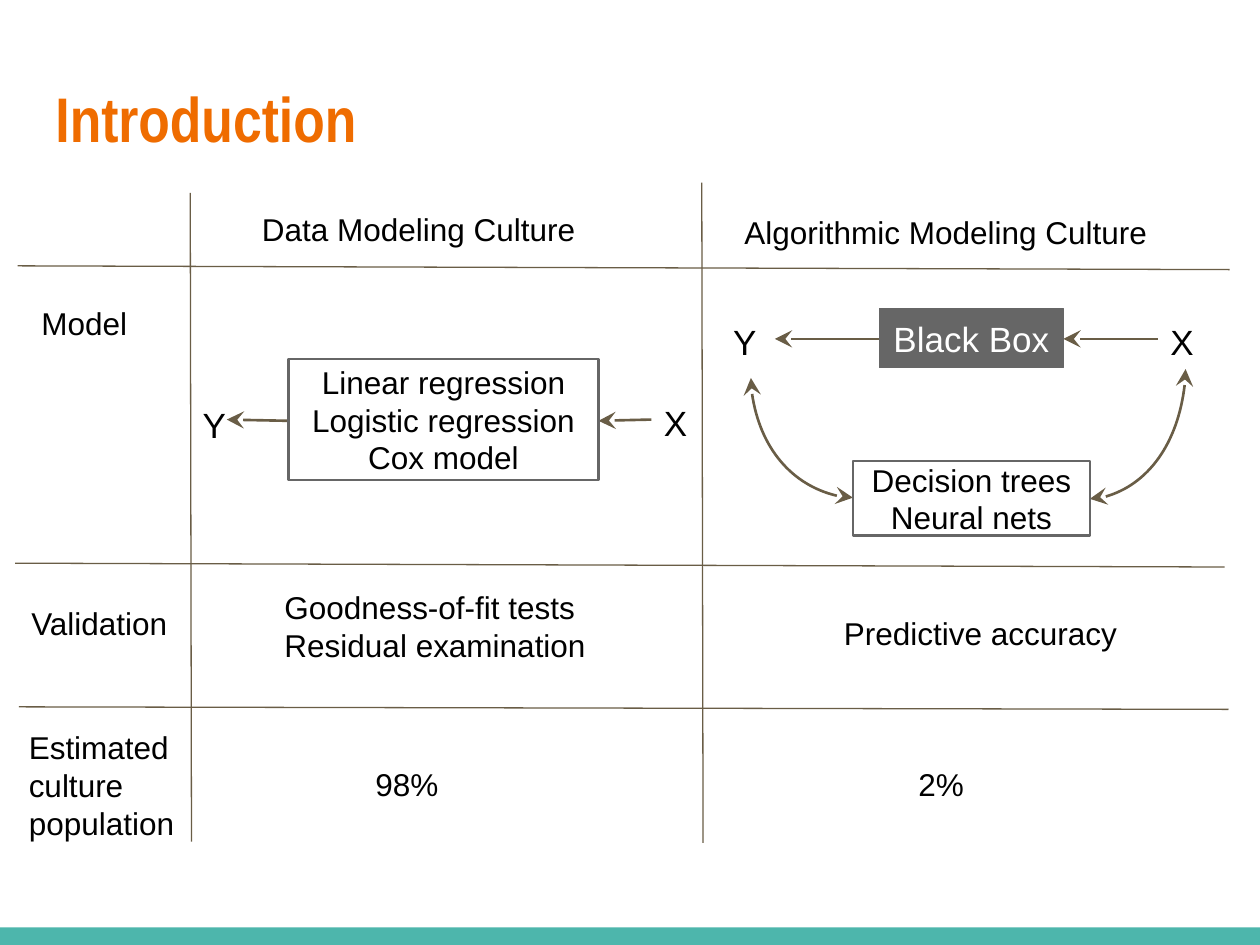
import pptx
import pptx.util
import pptx.dml.color
import pptx.enum.shapes
import pptx.enum.text
import pptx.oxml
import pptx.oxml.ns

Inches, Pt = pptx.util.Inches, pptx.util.Pt
COLORS = {"title": "EF6C00", "text": "000000", "line": "695D46",
          "box": "666666", "white": "FFFFFF", "footer": "4DB6AC"}

# text, left, top, width, height, size
LABELS = [
    ("Data Modeling Culture", 1.98, 1.57, 3.13, 0.73, 18),
    ("Algorithmic Modeling Culture", 5.81, 1.59, 3.79, 0.49, 18),
    ("Model", 0.23, 2.31, 1.28, 0.49, 18),
    ("Validation", 0.15, 4.69, 1.28, 0.49, 18),
    ("Estimated culture population", 0.13, 5.68, 1.65, 1.03, 18),
    ("Goodness-of-fit tests Residual examination", 2.16, 4.57, 2.9, 0.86, 18),
    ("Predictive accuracy", 6.6, 4.77, 2.46, 0.49, 18),
    ("98%", 2.88, 5.97, 1.28, 0.49, 18),
    ("2%", 7.19, 5.97, 1.28, 0.49, 18),
    ("Y", 1.51, 3.1, 0.29, 0.47, 20),
    ("X", 5.17, 3.09, 0.29, 0.49, 20),
    ("Y", 5.72, 2.44, 0.43, 0.49, 20),
    ("X", 9.19, 2.44, 0.43, 0.49, 20),
]
# text, left, top, width, height, size, fill, text colour, line width
BOXES = [
    ("Linear regression\nLogistic regression\nCox model",
     2.29, 2.85, 2.46, 0.96, 18, "white", "text", 1.5),
    ("Black Box", 6.98, 2.45, 1.46, 0.47, 20, "box", "white", 0.75),
    ("Decision trees\nNeural nets",
     6.77, 3.66, 1.88, 0.59, 18, "white", "text", 1.5),
]
# start x, start y, end x, end y
GRID_LINES = [
    (1.51, 1.53, 1.52, 6.68), (5.57, 1.45, 5.58, 6.69),
    (0.14, 2.11, 9.76, 2.14), (0.12, 4.47, 9.72, 4.5), (0.15, 5.61, 9.75, 5.63),
]
ARROWS = [
    (2.29, 3.34, 1.8, 3.33), (5.17, 3.33, 4.75, 3.34),
    (6.98, 2.69, 6.15, 2.69), (9.19, 2.69, 8.44, 2.69),
]
FEEDBACK_CURVES = [(6.77, 3.95, 5.96, 3), (8.65, 3.96, 9.41, 2.93)]


def rgb(name):
    return pptx.dml.color.RGBColor.from_string(COLORS[name])


def write(shape, text, size, color="text", font="Arial", bold=False,
          align="LEFT", anchor="TOP"):
    frame = shape.text_frame
    frame.text = text
    frame.word_wrap = True
    frame.auto_size = pptx.enum.text.MSO_AUTO_SIZE.NONE
    frame.vertical_anchor = pptx.enum.text.MSO_ANCHOR[anchor]
    frame.margin_left = frame.margin_right = Inches(0.1)
    frame.margin_top = frame.margin_bottom = Inches(0.1)
    for paragraph in frame.paragraphs:
        paragraph.alignment = pptx.enum.text.PP_ALIGN[align]
        for run in paragraph.runs:
            run.font.name, run.font.size, run.font.bold = font, Pt(size), bold
            run.font.color.rgb = rgb(color)


def add_rectangle(slide, place, fill):
    shape = slide.shapes.add_shape(
        pptx.enum.shapes.MSO_SHAPE.RECTANGLE, *map(Inches, place))
    shape.shadow.inherit = False
    shape.fill.solid()
    shape.fill.fore_color.rgb = rgb(fill)
    shape.line.fill.background()
    return shape


def add_line(slide, ends, width, heads=(), curved=False):
    """Draw a connector; heads lists the ends ("headEnd", "tailEnd") with arrows."""
    kind = "CURVE" if curved else "STRAIGHT"
    line = slide.shapes.add_connector(
        pptx.enum.shapes.MSO_CONNECTOR[kind], *map(Inches, ends))
    line.line.color.rgb = rgb("line")
    line.line.width = Pt(width)
    properties = line._element.spPr
    if curved:
        # A quarter bend leaves horizontally and arrives vertically.
        properties.find(pptx.oxml.ns.qn("a:prstGeom")).set("prst", "curvedConnector2")
    outline = properties.find(pptx.oxml.ns.qn("a:ln"))
    for head in heads:
        outline.append(pptx.oxml.parse_xml(
            f'<a:{head} {pptx.oxml.ns.nsdecls("a")} type="stealth" w="lg" len="lg"/>'))
    properties.append(pptx.oxml.parse_xml(
        f'<a:effectLst {pptx.oxml.ns.nsdecls("a")}/>'))


def main():
    deck = pptx.Presentation()
    deck.slide_width, deck.slide_height = Inches(10), Inches(7.5)
    slide = deck.slides.add_slide(deck.slide_layouts.get_by_name("Title Only"))

    add_rectangle(slide, (0, 7.36, 10, 0.14), "footer")
    title = slide.shapes.title
    title.left, title.top, title.width, title.height = map(
        Inches, (0.34, 0.53, 9.32, 1.03))
    write(title, "Introduction", 36, "title", "Arial Narrow", bold=True)

    for ends in GRID_LINES:
        add_line(slide, ends, 0.75)
    for ends in ARROWS:
        add_line(slide, ends, 1.5, ["tailEnd"])
    for ends in FEEDBACK_CURVES:
        add_line(slide, ends, 1.5, ["headEnd", "tailEnd"], curved=True)

    for text, *place, size, fill, color, line_width in BOXES:
        box = add_rectangle(slide, place, fill)
        box.line.color.rgb = rgb("box")
        box.line.width = Pt(line_width)
        write(box, text, size, color, align="CENTER", anchor="MIDDLE")
    for text, *place, size in LABELS:
        write(slide.shapes.add_textbox(*map(Inches, place)), text, size)

    deck.save("out.pptx")


if __name__ == "__main__":
    main()
